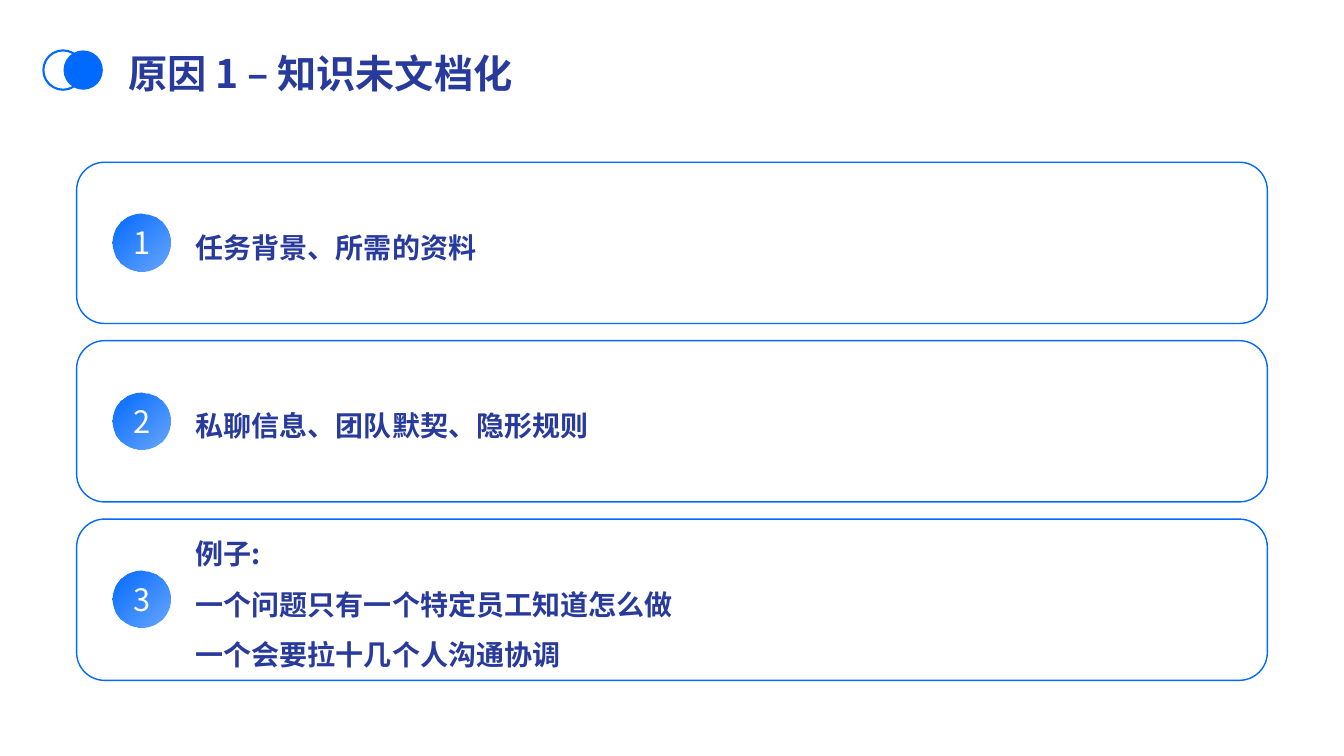
from lxml import etree
from pptx import Presentation
from pptx import util as u
from pptx.dml.color import RGBColor
from pptx.enum import shapes, text
from pptx.oxml import ns

BLUE = RGBColor(0x00, 0x6A, 0xFF)
NAVY = RGBColor(0x28, 0x3B, 0x9D)
WHITE = RGBColor(0xFF, 0xFF, 0xFF)

REASONS = [
    ["任务背景、所需的资料"],
    ["私聊信息、团队默契、隐形规则"],
    ["例子:\v一个问题只有一个特定员工知道怎么做", "一个会要拉十几个人沟通协调"],
]


class SlideBuilder:
    font_name = "Noto Sans CJK SC"

    def __init__(self, page):
        self.page = page
        self.target = page.shapes

    def start_group(self):
        self.target = self.page.shapes.add_group_shape().shapes

    def apply(self, item, values):
        for name, value in values.items():
            setattr(item, name, value)

    def set_alpha(self, fill_element, percent):
        last_color = fill_element.findall(".//" + ns.qn("a:srgbClr"))[-1]
        etree.SubElement(last_color, ns.qn("a:alpha"), val=str(percent * 1000))

    def set_text(self, box, lines, color, frame_format, para_format, font_format):
        frame = box.text_frame
        self.apply(frame, {"vertical_anchor": text.MSO_ANCHOR.MIDDLE, **frame_format})
        for index, line in enumerate(lines):
            para = frame.add_paragraph() if index else frame.paragraphs[0]
            para.text = line
            self.apply(para, para_format)
            for span in para.runs:
                self.apply(span.font, {"name": self.font_name, **font_format})
                span.font.color.rgb = color
                latin = span.font._element.find(ns.qn("a:latin"))
                latin.addnext(etree.Element(ns.qn("a:ea"), typeface=self.font_name))

    def shape(self, kind, left, top, width, height, fill=None, line=None, weight=1):
        shape = self.target.add_shape(
            kind, *(u.Inches(value) for value in (left, top, width, height)))
        shape.shadow.inherit = False
        if fill is None:
            shape.fill.background()
        else:
            shape.fill.solid()
            shape.fill.fore_color.rgb = fill
        if line is None:
            shape.line.fill.background()
        else:
            shape.line.color.rgb = line
            shape.line.width = u.Pt(weight)
        return shape

    def card(self, top, lines):
        box = self.shape(shapes.MSO_SHAPE.ROUNDED_RECTANGLE,
                         0.76, top, 11.81, 1.6, WHITE, BLUE)
        box.adjustments[0] = 0.173
        self.set_alpha(box._element.spPr.find(ns.qn("a:solidFill")), 10)
        self.set_text(box, lines, NAVY, {
            "word_wrap": True,
            "margin_left": u.Inches(1.1), "margin_top": 0,
            "margin_right": u.Inches(0.2), "margin_bottom": u.Inches(0.08),
        }, {"alignment": text.PP_ALIGN.LEFT, "line_spacing": 1.5},
            {"size": u.Pt(20), "bold": True})

    def badge(self, top, number):
        circle = self.shape(shapes.MSO_SHAPE.OVAL, 1.12, top, 0.57, 0.57)
        circle.fill.gradient()
        circle.fill.gradient_angle = 315
        for stop in circle.fill.gradient_stops:
            stop.color.rgb = BLUE
        self.set_alpha(circle._element.spPr.find(ns.qn("a:gradFill")), 59)
        self.set_text(circle, [str(number)], WHITE, {"word_wrap": False},
                      {"alignment": text.PP_ALIGN.CENTER}, {"size": u.Pt(22)})

    def title(self, line):
        box = self.target.add_textbox(
            *(u.Inches(value) for value in (1.27, 0.44, 10.92, 0.47)))
        self.set_text(box, [line], NAVY, {
            "word_wrap": True,
            "margin_left": 0, "margin_top": 0,
            "margin_right": 0, "margin_bottom": 0,
        }, {"line_spacing": 1.2}, {"size": u.Pt(28), "bold": True})


def main():
    deck = Presentation()
    deck.slide_width = u.Inches(13.33)
    deck.slide_height = u.Inches(7.5)
    builder = SlideBuilder(deck.slides.add_slide(deck.slide_layouts[6]))

    for index, lines in enumerate(REASONS):
        top = 1.61 + 1.77 * index
        builder.card(top, lines)
        builder.badge(top + 0.51, index + 1)

    builder.start_group()
    builder.title("原因 1 – 知识未文档化")
    oval = shapes.MSO_SHAPE.OVAL
    builder.shape(oval, 0.43, 0.5, 0.39, 0.39, line=BLUE, weight=1.5)
    builder.shape(oval, 0.63, 0.5, 0.39, 0.39, fill=BLUE)

    deck.save("out.pptx")


if __name__ == "__main__":
    main()
